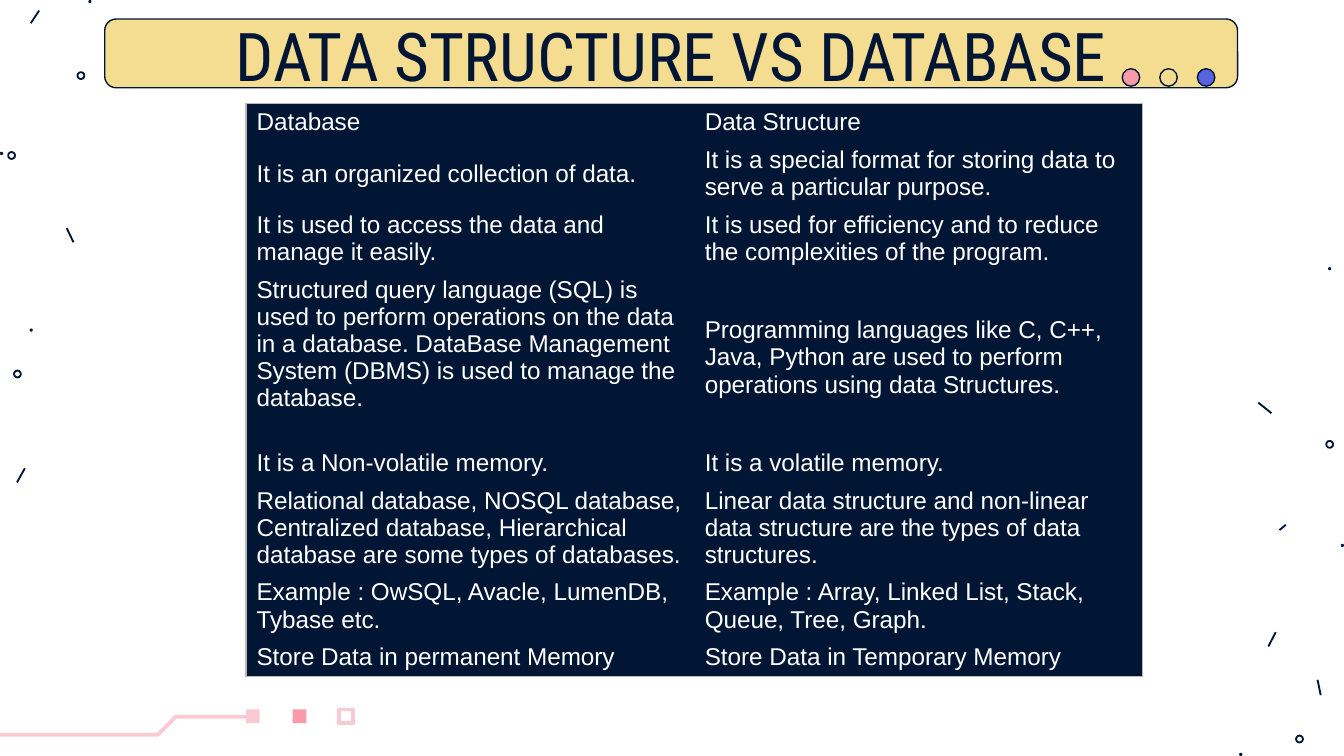
"""Build a slide that compares data structures with databases in a table."""
from dataclasses import dataclass

from lxml.etree import SubElement
from pptx import Presentation
from pptx.dml.color import RGBColor
from pptx.enum.shapes import MSO_CONNECTOR, MSO_SHAPE
from pptx.enum.text import MSO_ANCHOR, MSO_AUTO_SIZE, PP_ALIGN
from pptx.oxml.ns import qn
from pptx.util import Cm, Pt


@dataclass(frozen=True)
class Theme:
    navy: str = "011635"
    white: str = "FFFFFF"
    sand: str = "F4DC90"
    rose: str = "F99AAA"
    blush: str = "F9CAD2"
    indigo: str = "5863E0"
    rim: str = "B9B9BB"
    title_font: str = "Roboto Condensed"
    body_font: str = "Arial"
    title_size: float = 36
    body_size: float = 13
    hairline: float = 0.75
    stroke: float = 1
    trace: float = 2


theme = Theme()


def add_part(preset, left, top, width, height, fill=None, line=None, weight=theme.hairline):
    part = slide.shapes.add_shape(preset, Cm(left), Cm(top), Cm(width), Cm(height))
    paint(part, fill, line, weight)
    return part


def paint(part, fill, line, weight):
    part.shadow.inherit = False
    for target, color in ((part.fill, fill), (part.line.fill, line)):
        if color:
            target.solid()
            target.fore_color.rgb = RGBColor.from_string(color)
        else:
            target.background()
    if line:
        part.line.width = Pt(weight)


deck = Presentation()
deck.slide_width, deck.slide_height = Cm(25.4), Cm(14.29)
slide = deck.slides.add_slide(deck.slide_layouts[5])

dashes = [
    (0.74, 0.2, 0.58, 0.44), (1.26, 4.31, 1.39, 4.58), (0.47, 8.85, 0.32, 9.12),
    (23.78, 7.61, 24.03, 7.81), (24.9, 12.85, 24.96, 13.14),
    (24.11, 11.95, 23.97, 12.22), (24.3, 9.92, 24.18, 10.02),
]
for ends in dashes:
    dash = slide.shapes.add_connector(MSO_CONNECTOR.STRAIGHT, *map(Cm, ends))
    dash.line.color.rgb = RGBColor.from_string(theme.navy)
    dash.line.width = Pt(theme.stroke)
    SubElement(dash.element.spPr, qn("a:effectLst"))

ring_size, dot_size = 0.13, 0.06
rings = [(1.53, 1.43), (0.33, 7.07), (0.22, 2.94), (25.13, 8.4), (24.56, 13.97)]
for x, y in rings:
    add_part(MSO_SHAPE.OVAL, x - ring_size / 2, y - ring_size / 2, ring_size, ring_size,
             line=theme.navy, weight=theme.stroke)

dots = [(0.59, 6.24), (1.7, 0.03), (0.03, 2.9), (25.37, 10.31), (23.45, 14.26), (25.13, 5.08)]
for x, y in dots:
    add_part(MSO_SHAPE.OVAL, x - dot_size / 2, y - dot_size / 2, dot_size, dot_size,
             fill=theme.navy)

square_styles = [(theme.blush, None), (theme.rose, None), (None, theme.blush)]
for index, (fill, line) in enumerate(square_styles):
    add_part(MSO_SHAPE.RECTANGLE, 4.65 + 0.88 * index, 13.41, 0.26, 0.26, fill, line, theme.trace)

trace_points = [(0, 13.89), (2.98, 13.89), (3.32, 13.55), (4.66, 13.55)]
start, *bends = [(Cm(x), Cm(y)) for x, y in trace_points]
tracer = slide.shapes.build_freeform(*start)
tracer.add_line_segments(bends, close=False)
paint(tracer.convert_to_shape(), None, theme.blush, theme.trace)

banner = add_part(MSO_SHAPE.ROUNDED_RECTANGLE, 1.98, 0.36, 21.41, 1.3, theme.sand, theme.navy)
banner.adjustments[0] = 0.167

heading = slide.shapes.title
heading.element.addprevious(banner.element)
heading.left, heading.top, heading.width, heading.height = Cm(3.78), Cm(0.23), Cm(17.81), Cm(1.6)
frame = heading.text_frame
frame.margin_left = frame.margin_top = frame.margin_right = frame.margin_bottom = 0
frame.auto_size = MSO_AUTO_SIZE.NONE
frame.vertical_anchor = MSO_ANCHOR.MIDDLE
frame.paragraphs[0].alignment = PP_ALIGN.CENTER
run = frame.paragraphs[0].add_run()
run.text = "DATA STRUCTURE VS DATABASE"
run.font.name = theme.title_font
run.font.size = Pt(theme.title_size)
run.font.color.rgb = RGBColor.from_string(theme.navy)

for index, fill in enumerate((theme.rose, theme.sand, theme.indigo)):
    add_part(MSO_SHAPE.OVAL, 21.21 + 0.71 * index, 1.3, 0.33, 0.33, fill, theme.navy)

comparison = [
    (1, "Database", "Data Structure"),
    (2, "It is an organized collection of data.",
     "It is a special format for storing data to serve a particular purpose."),
    (2, "It is used to access the data and manage it easily.",
     "It is used for efficiency and to reduce the complexities of the program."),
    (6, "Structured query language (SQL) is used to perform operations on the data in a "
        "database. DataBase Management System (DBMS) is used to manage the database.",
     "Programming languages like C, C++, Java, Python are used to perform operations "
     "using data Structures."),
    (1, "It is a Non-volatile memory.", "It is a volatile memory."),
    (3, "Relational database, NOSQL database, Centralized database, Hierarchical database "
        "are some types of databases.",
     "Linear data structure and non-linear data structure are the types of data structures."),
    (2, "Example : OwSQL, Avacle, LumenDB, Tybase etc.",
     "Example : Array, Linked List, Stack, Queue, Tree, Graph."),
    (1, "Store Data in permanent Memory", "Store Data in Temporary Memory"),
]
line_height, cell_pad = 0.51, 0.1
row_heights = [lines * line_height + 2 * cell_pad for lines, *_ in comparison]
table = slide.shapes.add_table(
    len(comparison), 2, Cm(4.65), Cm(1.96), Cm(16.94), Cm(sum(row_heights))).table
table.first_row = table.horz_banding = False
no_style = "{2D5ABB26-0587-4C30-8999-92F81FD0307C}"
table._tbl.tblPr.find(qn("a:tableStyleId")).text = no_style

last_row = len(comparison) - 1
for row, (lines, *texts) in enumerate(comparison):
    table.rows[row].height = Cm(row_heights[row])
    for column, text in enumerate(texts):
        cell = table.cell(row, column)
        cell.margin_left = cell.margin_right = Cm(0.2)
        cell.margin_top = cell.margin_bottom = Cm(cell_pad)
        if lines == 6 and column == 0:
            cell.margin_bottom = Cm(cell_pad + line_height)
        cell.vertical_anchor = MSO_ANCHOR.MIDDLE
        outer_sides = {"L": column == 0, "R": column == 1, "T": row == 0, "B": row == last_row}
        for side, is_outer in outer_sides.items():
            if is_outer:
                edge = SubElement(cell._tc.get_or_add_tcPr(), qn(f"a:ln{side}"),
                                  w=str(Pt(theme.hairline)))
                SubElement(SubElement(edge, qn("a:solidFill")), qn("a:srgbClr"), val=theme.rim)
        cell.fill.solid()
        cell.fill.fore_color.rgb = RGBColor.from_string(theme.navy)
        run = cell.text_frame.paragraphs[0].add_run()
        run.text = text
        run.font.name = theme.body_font
        run.font.size = Pt(theme.body_size)
        run.font.color.rgb = RGBColor.from_string(theme.white)

deck.save("out.pptx")
